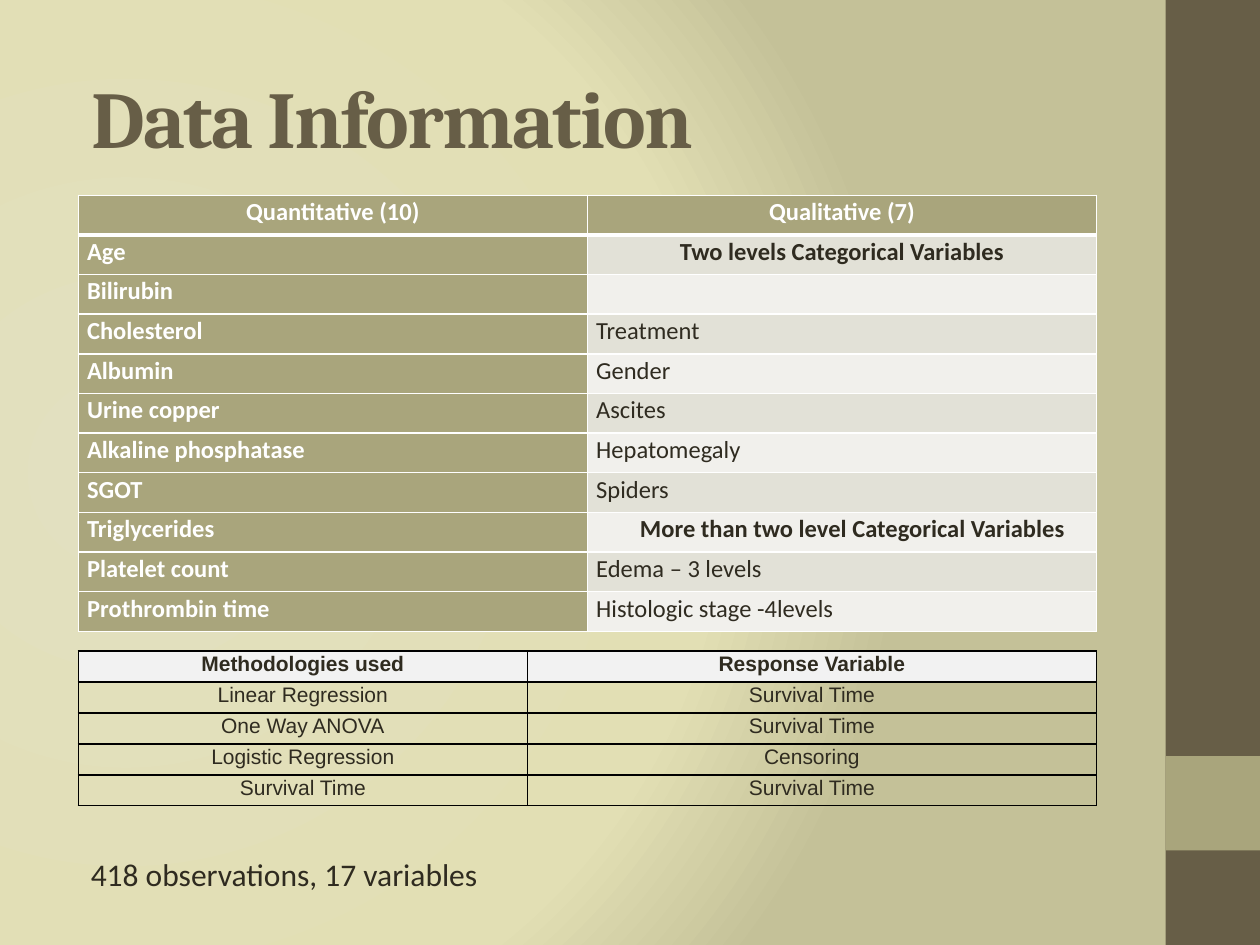
from lxml.etree import SubElement
from pptx import Presentation
from pptx.dml.color import RGBColor
from pptx.enum.shapes import MSO_SHAPE
from pptx.enum.text import MSO_ANCHOR, MSO_AUTO_SIZE, PP_ALIGN
from pptx.oxml import parse_xml
from pptx.oxml.ns import nsdecls, qn
from pptx.util import Pt

COLORS = {
    "brown": "675E47", "olive": "A9A57C", "text": "2F2B20",
    "white": "FFFFFF", "black": "000000", "header": "F2F2F2",
    "band_dark": "E2E1D7", "band_light": "F1F0EC",
}
BACKGROUND_STOPS = {0: "E2E0C0", 75: "E2DFB4", 100: "C4C198"}
TWO_LEVELS = "Two levels Categorical Variables"
MORE_LEVELS = "More than two level Categorical Variables"
VARIABLES = [
    ("Quantitative (10)", "Qualitative (7)"),
    ("Age", TWO_LEVELS),
    ("Bilirubin", ""),
    ("Cholesterol", "Treatment"),
    ("Albumin", "Gender"),
    ("Urine copper", "Ascites"),
    ("Alkaline phosphatase", "Hepatomegaly"),
    ("SGOT", "Spiders"),
    ("Triglycerides", MORE_LEVELS),
    ("Platelet count", "Edema – 3 levels"),
    ("Prothrombin time", "Histologic stage -4levels"),
]
METHODS = [
    ("Methodologies used", "Response Variable"),
    ("Linear Regression", "Survival Time"),
    ("One Way ANOVA", "Survival Time"),
    ("Logistic Regression", "Censoring"),
    ("Survival Time", "Survival Time"),
]


def rgb(name):
    return RGBColor.from_string(COLORS[name])


def set_attributes(target, values):
    for name, value in values.items():
        setattr(target, name, value)


def write_text(paragraph, text, color, **font_values):
    run = paragraph.add_run()
    run.text = text
    set_attributes(run.font, font_values)
    run.font.color.rgb = rgb(color)
    return run


def set_background(slide):
    stops = "".join(
        f'<a:gs pos="{position * 1000}"><a:srgbClr val="{color}"/></a:gs>'
        for position, color in BACKGROUND_STOPS.items())
    background = parse_xml(
        f'<p:bg {nsdecls("p", "a")}><p:bgPr><a:gradFill rotWithShape="1">'
        f'<a:gsLst>{stops}</a:gsLst><a:path path="circle">'
        '<a:fillToRect l="20000" t="50000" r="100000" b="50000"/></a:path>'
        '</a:gradFill><a:effectLst/></p:bgPr></p:bg>')
    slide.element.cSld.insert(0, background)


def add_block(slide, top, height, color):
    block = slide.shapes.add_shape(
        MSO_SHAPE.RECTANGLE, Pt(666), Pt(top), Pt(54), Pt(height))
    block.shadow.inherit = False
    block.fill.solid()
    block.fill.fore_color.rgb = rgb(color)
    block.line.fill.background()


def format_title(slide):
    title = slide.shapes.title
    set_attributes(title, {"left": Pt(36), "top": Pt(21.6),
                           "width": Pt(600), "height": Pt(90)})
    set_attributes(title.text_frame, {
        "vertical_anchor": MSO_ANCHOR.MIDDLE, "margin_left": Pt(16.3)})
    paragraph = title.text_frame.paragraphs[0]
    paragraph.alignment = PP_ALIGN.LEFT
    run = write_text(paragraph, "Data Information", "brown",
                     name="Cambria", size=Pt(46), bold=True)
    run.font._element.set("spc", "-100")


def set_borders(cell, color, bottom=1):
    properties = cell._tc.get_or_add_tcPr()
    widths = {"lnL": 1, "lnR": 1, "lnT": 1, "lnB": bottom}
    for index, (side, width) in enumerate(widths.items()):
        line = SubElement(properties, qn(f"a:{side}"), w=str(Pt(width)))
        fill = SubElement(line, qn("a:solidFill"))
        SubElement(fill, qn("a:srgbClr"), val=COLORS[color])
        properties.insert(index, line)


def add_grid(slide, rows, top, row_height, column_widths):
    """Add a table with its size and no style options; return the table."""
    table = slide.shapes.add_table(
        len(rows), 2, Pt(44.8), Pt(top), Pt(sum(column_widths)),
        Pt(row_height * len(rows))).table
    set_attributes(table, {"first_row": False, "horz_banding": False})
    for column, width in zip(table.columns, column_widths):
        column.width = Pt(width)
    for row in table.rows:
        row.height = Pt(row_height)
    return table


def fill_cell(cell, text, fill, color, alignment, indent=0, **font_values):
    set_attributes(cell, {
        "margin_left": Pt(5 + indent), "margin_right": Pt(5),
        "margin_top": 0, "margin_bottom": 0})
    if fill:
        cell.fill.solid()
        cell.fill.fore_color.rgb = rgb(fill)
    else:
        cell.fill.background()
    paragraph = cell.text_frame.paragraphs[0]
    set_attributes(paragraph, {"alignment": alignment, "line_spacing": 1.07})
    write_text(paragraph, text, color, **font_values)


def add_variables_table(slide):
    table = add_grid(slide, VARIABLES, 111.6, 22.65, (290.9, 290.9))
    for r, row in enumerate(VARIABLES):
        for c, text in enumerate(row):
            heading = r == 0 or c == 0
            band = "band_dark" if r % 2 else "band_light"
            centered = r == 0 or text == TWO_LEVELS
            cell = table.cell(r, c)
            fill_cell(
                cell, text, "olive" if heading else band,
                "white" if heading else "text",
                PP_ALIGN.CENTER if centered else PP_ALIGN.LEFT,
                indent=25 if text == MORE_LEVELS else 0,
                name="Calibri", size=Pt(14),
                bold=heading or text in (TWO_LEVELS, MORE_LEVELS))
            set_borders(cell, "white", bottom=3 if r == 0 else 1)


def add_methods_table(slide):
    table = add_grid(slide, METHODS, 372, 17.7, (256.6, 325.2))
    for r, row in enumerate(METHODS):
        for c, text in enumerate(row):
            cell = table.cell(r, c)
            fill_cell(cell, text, "header" if r == 0 else None, "text",
                      PP_ALIGN.CENTER, name="Arial", size=Pt(12), bold=r == 0)
            set_borders(cell, "black")


def add_summary(slide):
    box = slide.shapes.add_textbox(Pt(44.8), Pt(485.2), Pt(238.3), Pt(29))
    set_attributes(box.text_frame, {
        "word_wrap": False, "auto_size": MSO_AUTO_SIZE.SHAPE_TO_FIT_TEXT})
    write_text(box.text_frame.paragraphs[0], "418 observations, 17 variables",
               "text", name="Calibri", size=Pt(18))


def main():
    presentation = Presentation()
    set_attributes(presentation, {"slide_width": Pt(720),
                                  "slide_height": Pt(540)})
    slide = presentation.slides.add_slide(presentation.slide_layouts[5])
    set_background(slide)
    add_block(slide, 0, 540, "brown")
    add_block(slide, 432, 54, "olive")
    format_title(slide)
    add_variables_table(slide)
    add_methods_table(slide)
    add_summary(slide)
    presentation.save("out.pptx")


if __name__ == "__main__":
    main()
